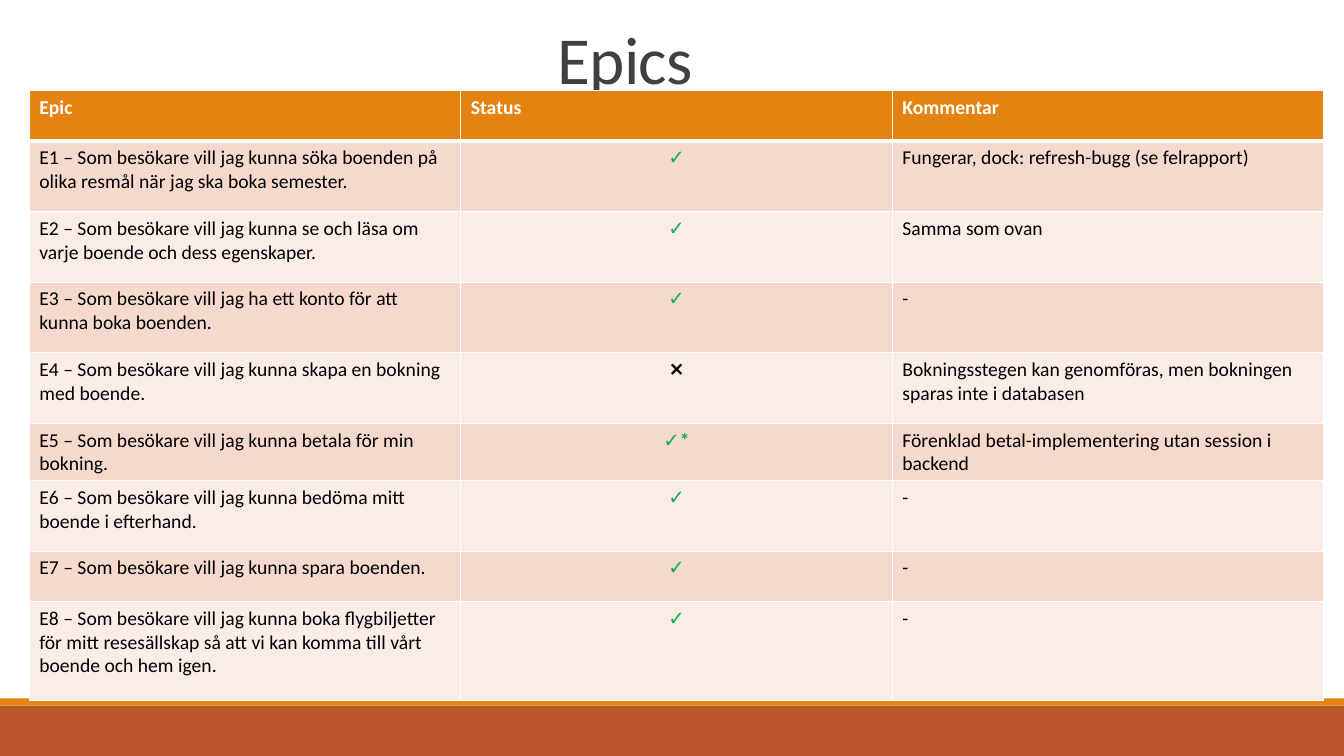
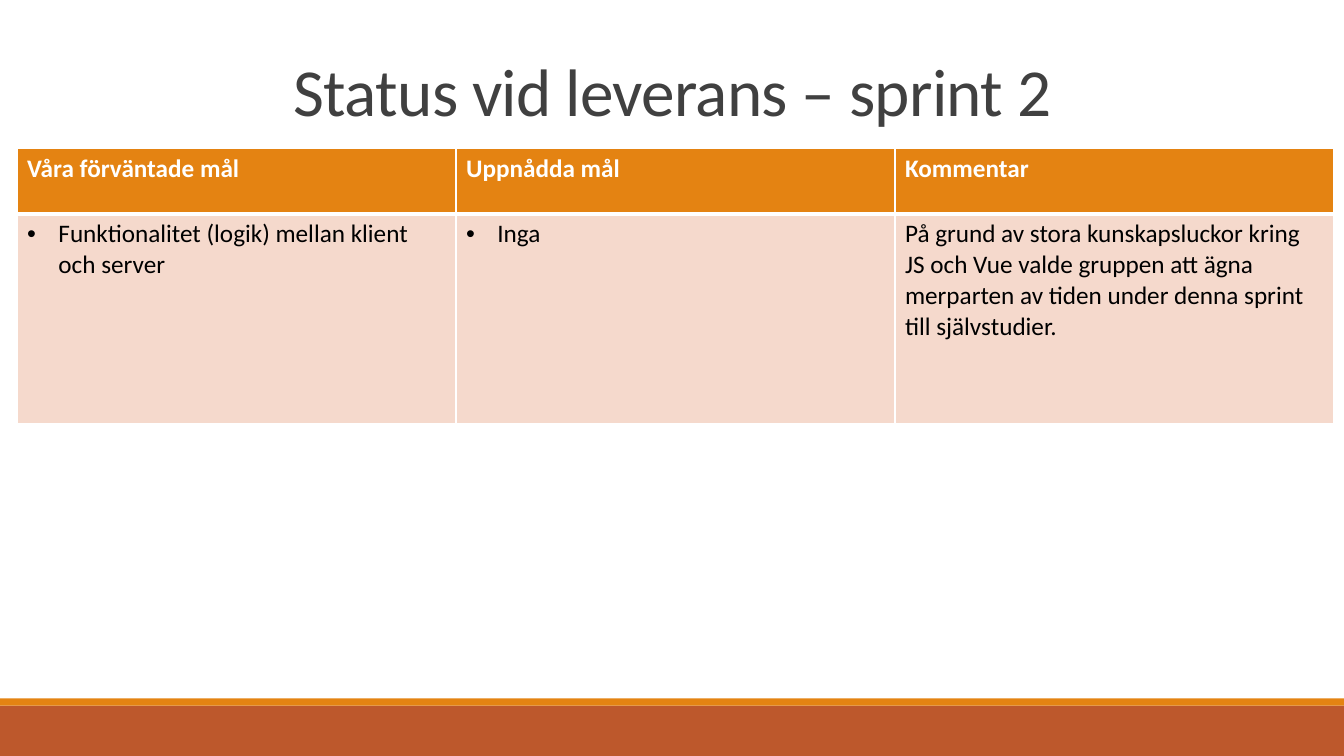
"""Build two status slides: the epics table and the sprint 2 delivery table."""
from lxml.etree import SubElement
from pptx import Presentation
from pptx.dml.color import RGBColor
from pptx.enum.shapes import MSO_SHAPE
from pptx.enum.text import MSO_ANCHOR, PP_ALIGN
from pptx.oxml.ns import qn
from pptx.util import Inches, Pt

FONT = "Calibri"
WHITE = RGBColor(0xFF, 0xFF, 0xFF)
BLACK = RGBColor(0x00, 0x00, 0x00)
GREEN = RGBColor(0x00, 0xB0, 0x50)
TITLE_GRAY = RGBColor(0x40, 0x40, 0x40)
ORANGE = RGBColor(0xE4, 0x83, 0x12)
RUST = RGBColor(0xBD, 0x58, 0x2C)
ROW_TINTS = (RGBColor(0xF5, 0xD9, 0xCC), RGBColor(0xFA, 0xED, 0xE7))

SLIDE_WIDTH, SLIDE_HEIGHT = 13.33, 7.5
THIN, THICK = 1, 3
CHECK, CROSS = "✓", "❌"

EPICS = (
    ("E1 – Som besökare vill jag kunna söka boenden på olika resmål när jag ska boka semester.",
     CHECK, "Fungerar, dock: refresh-bugg (se felrapport)", 0.7),
    ("E2 – Som besökare vill jag kunna se och läsa om varje boende och dess egenskaper.",
     CHECK, "Samma som ovan", 0.7),
    ("E3 – Som besökare vill jag ha ett konto för att kunna boka boenden.",
     CHECK, "-", 0.7),
    ("E4 – Som besökare vill jag kunna skapa en bokning med boende.",
     CROSS, "Bokningsstegen kan genomföras, men bokningen sparas inte i databasen", 0.7),
    ("E5 – Som besökare vill jag kunna betala för min bokning.",
     CHECK + "*", "Förenklad betal-implementering utan session i backend", 0.5),
    ("E6 – Som besökare vill jag kunna bedöma mitt boende i efterhand.",
     CHECK, "-", 0.7),
    ("E7 – Som besökare vill jag kunna spara boenden.", CHECK, "-", 0.5),
    ("E8 – Som besökare vill jag kunna boka flygbiljetter för mitt resesällskap "
     "så att vi kan komma till vårt boende och hem igen.", CHECK, "-", 0.98),
)
GOALS = (
    "Funktionalitet (logik) mellan klient och server",
    "Inga",
    "På grund av stora kunskapsluckor kring JS och Vue valde gruppen att ägna "
    "merparten av tiden under denna sprint till självstudier.",
)


def add_span(para, text, size, color, bold=False):
    """Add one formatted run to a paragraph."""
    span = para.add_run()
    span.text = text
    span.font.name = FONT
    span.font.size = Pt(size)
    span.font.bold = bold
    span.font.color.rgb = color
    return span


def add_band(page, top, height, color):
    """Draw a full-width footer band."""
    band = page.shapes.add_shape(MSO_SHAPE.RECTANGLE, 0, Inches(top),
                                 Inches(SLIDE_WIDTH), Inches(height))
    band.shadow.inherit = False
    band.fill.solid()
    band.fill.fore_color.rgb = color
    band.line.fill.background()


def add_page(deck, title, left, top, width, height):
    """Add a slide with footer bands and a centred title."""
    page = deck.slides.add_slide(deck.slide_layouts[6])
    add_band(page, 7, 0.5, RUST)
    add_band(page, 6.93, 0.07, ORANGE)
    box = page.shapes.add_textbox(Inches(left), Inches(top), Inches(width), Inches(height))
    frame = box.text_frame
    frame.word_wrap = True
    frame.vertical_anchor = MSO_ANCHOR.BOTTOM
    para = frame.paragraphs[0]
    para.alignment = PP_ALIGN.CENTER
    para.line_spacing = 0.85
    span = add_span(para, title, 48, TITLE_GRAY)
    span.font._element.set("spc", "-50")
    return page


def style_cell(cell, fill, top_width, bottom_width):
    """Give a cell white borders and a solid fill."""
    properties = cell._tc.get_or_add_tcPr()
    borders = (("a:lnL", THIN), ("a:lnR", THIN), ("a:lnT", top_width), ("a:lnB", bottom_width))
    for tag, width in borders:
        border = SubElement(properties, qn(tag), w=str(Pt(width)))
        SubElement(SubElement(border, qn("a:solidFill")), qn("a:srgbClr"), val=str(WHITE))
    cell.fill.solid()
    cell.fill.fore_color.rgb = fill


def add_bullet(para):
    """Give a paragraph a hanging round bullet."""
    properties = para._p.get_or_add_pPr()
    properties.set("marL", str(Inches(0.31)))
    properties.set("indent", str(-Inches(0.31)))
    SubElement(properties, qn("a:buFont"), typeface="Arial")
    SubElement(properties, qn("a:buChar"), char="•")


def add_status_table(page, left, top, width, heights, header, rows, size):
    """Add a table with an orange header and banded rows."""
    frame = page.shapes.add_table(len(heights), len(header), Inches(left), Inches(top),
                                  Inches(width), Inches(sum(heights)))
    table = frame.table
    table.first_row = False
    table.horz_banding = False
    for column in table.columns:
        column.width = Inches(width / len(header))
    for row, height in zip(table.rows, heights):
        row.height = Inches(height)
    for row_index, texts in enumerate((header, *rows)):
        is_header = row_index == 0
        fill = ORANGE if is_header else ROW_TINTS[(row_index - 1) % 2]
        for column_index, text in enumerate(texts):
            cell = table.cell(row_index, column_index)
            style_cell(cell, fill, THICK if row_index == 1 else THIN,
                       THICK if is_header else THIN)
            checked = text.startswith(CHECK)
            color = WHITE if is_header else GREEN if checked else BLACK
            para = cell.text_frame.paragraphs[0]
            if checked or text == CROSS:
                para.alignment = PP_ALIGN.CENTER
            add_span(para, text, size, color, is_header or checked)
    return table


def build_epics(deck):
    """Build the slide that lists every epic."""
    page = add_page(deck, "Epics", 2.4, 0.21, 7.6, 0.81)
    heights = [0.5] + [epic[-1] for epic in EPICS]
    rows = [epic[:-1] for epic in EPICS]
    add_status_table(page, 0.29, 0.9, 12.84, heights,
                     ("Epic", "Status", "Kommentar"), rows, 14)


def build_sprint(deck):
    """Build the slide that compares goals for sprint 2."""
    page = add_page(deck, "Status vid leverans – sprint 2", 1.17, 0.52, 11, 0.82)
    table = add_status_table(page, 0.17, 1.47, 13.06, (0.65, 2.08),
                             ("Våra förväntade mål", "Uppnådda mål", "Kommentar"),
                             (GOALS,), 18)
    for column_index in range(2):
        add_bullet(table.cell(1, column_index).text_frame.paragraphs[0])


def main():
    """Create and save the deck."""
    deck = Presentation()
    deck.slide_width = Inches(SLIDE_WIDTH)
    deck.slide_height = Inches(SLIDE_HEIGHT)
    build_epics(deck)
    build_sprint(deck)
    deck.save("out.pptx")


if __name__ == "__main__":
    main()
